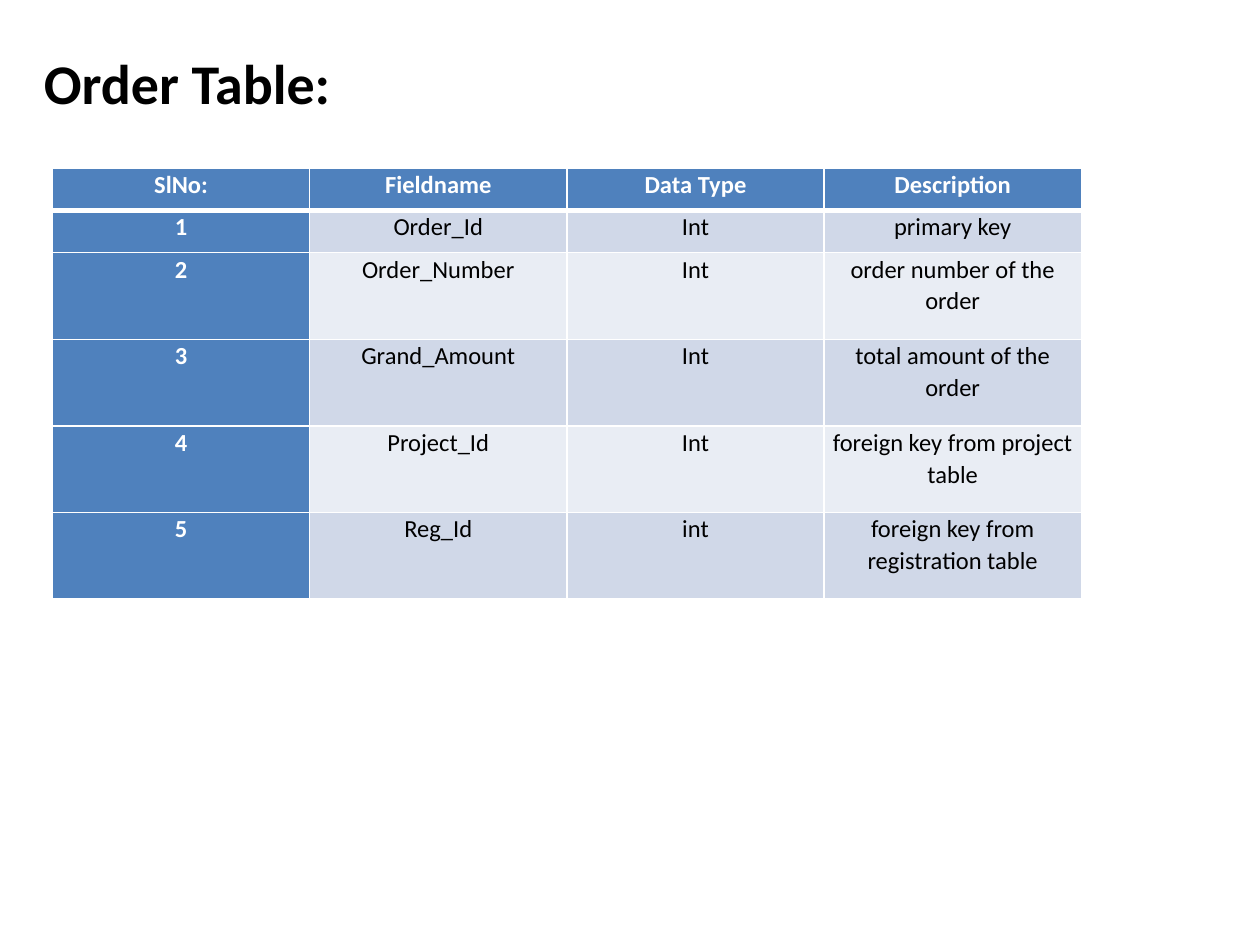
from lxml.etree import SubElement
from pptx import Presentation
from pptx.dml.color import RGBColor
from pptx.enum.text import MSO_ANCHOR as Anchor, PP_ALIGN as Align
from pptx.oxml.ns import qn
from pptx.util import Pt

BLACK = RGBColor(0x00, 0x00, 0x00)
WHITE = RGBColor(0xFF, 0xFF, 0xFF)
BLUE = RGBColor(0x4F, 0x81, 0xBD)
BAND_DARK = RGBColor(0xD0, 0xD8, 0xE8)
BAND_LIGHT = RGBColor(0xE9, 0xED, 0xF4)

ROWS = [
    ("SlNo:", "Fieldname", "Data Type", "Description"),
    ("1", "Order_Id", "Int", "primary key"),
    ("2", "Order_Number", "Int", "order number of the order"),
    ("3", "Grand_Amount", "Int", "total amount of the order"),
    ("4", "Project_Id", "Int", "foreign key from project table"),
    ("5", "Reg_Id", "int", "foreign key from registration table"),
]
COLUMN_WIDTH = 147
ROW_HEIGHTS = [24.2, 24.2] + [49.5] * 4


class SlideBuilder:
    font_name = "Calibri"
    title_size = 32
    cell_size = 14

    def __init__(self, slide):
        self.slide = slide

    def add_run(self, paragraph, text, size, color, bold):
        run = paragraph.add_run()
        run.text = text
        run.font.name = self.font_name
        run.font.size = Pt(size)
        run.font.bold = bold
        run.font.color.rgb = color

    def title(self, text, left, top, width, height):
        shape = self.slide.shapes.add_textbox(Pt(left), Pt(top), Pt(width), Pt(height))
        shape.text_frame.word_wrap = True
        self.add_run(shape.text_frame.paragraphs[0], text, self.title_size, BLACK, True)

    def border(self, cell, side, width):
        line = SubElement(cell._tc.get_or_add_tcPr(), qn(f"a:ln{side}"), w=str(Pt(width)))
        fill = SubElement(line, qn("a:solidFill"))
        SubElement(fill, qn("a:srgbClr"), val=str(WHITE))

    def cell(self, cell, text, row, column):
        is_heading = row == 0 or column == 0
        # Borders, with a thick rule under the header row
        for side in "LRTB":
            thick = (row, side) in ((0, "B"), (1, "T"))
            self.border(cell, side, 3 if thick else 1)
        cell.fill.solid()
        band = BAND_DARK if row % 2 else BAND_LIGHT
        cell.fill.fore_color.rgb = BLUE if is_heading else band
        # Text
        cell.margin_left = cell.margin_right = Pt(5)
        cell.margin_top = cell.margin_bottom = Pt(0)
        cell.vertical_anchor = Anchor.TOP
        paragraph = cell.text_frame.paragraphs[0]
        paragraph.alignment = Align.CENTER
        paragraph.line_spacing = 1.07
        self.add_run(paragraph, text, self.cell_size,
                     WHITE if is_heading else BLACK, is_heading)

    def table(self, rows, left, top, column_width, row_heights):
        columns = len(rows[0])
        shape = self.slide.shapes.add_table(
            len(rows), columns, Pt(left), Pt(top),
            Pt(column_width * columns), Pt(sum(row_heights)))
        table = shape.table
        for column in table.columns:
            column.width = Pt(column_width)
        for row, height in enumerate(row_heights):
            table.rows[row].height = Pt(height)
            for column, text in enumerate(rows[row]):
                self.cell(table.cell(row, column), text, row, column)


presentation = Presentation()
presentation.slide_width = Pt(720)
presentation.slide_height = Pt(540)
builder = SlideBuilder(presentation.slides.add_slide(presentation.slide_layouts[6]))

# Heading
builder.title("Order Table:", 18, 24, 648, 356)

# Field list
builder.table(ROWS, 30, 96, COLUMN_WIDTH, ROW_HEIGHTS)

presentation.save("out.pptx")
